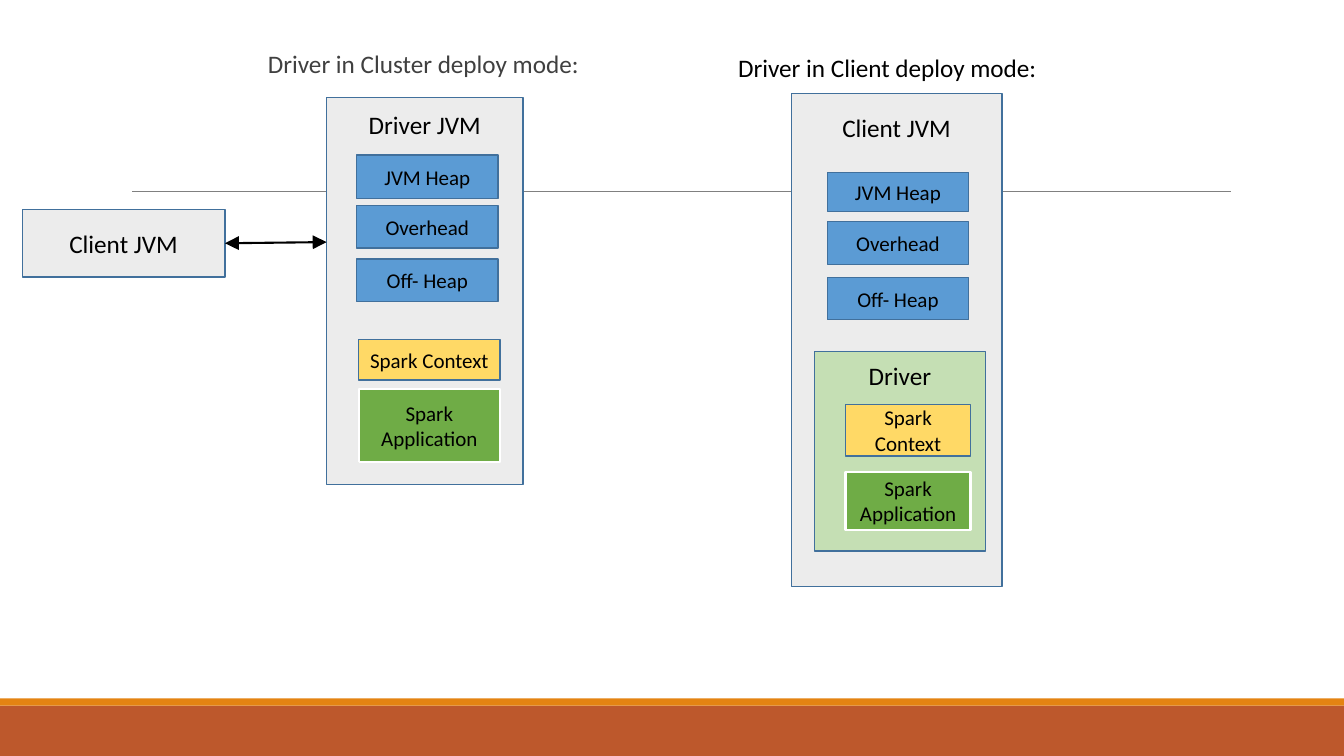
"""Build a slide comparing the driver in cluster and client deploy modes."""
from dataclasses import dataclass

from lxml.etree import SubElement
from pptx import Presentation
from pptx.dml.color import RGBColor
from pptx.enum.shapes import MSO_CONNECTOR, MSO_SHAPE
from pptx.enum.text import MSO_ANCHOR, PP_ALIGN
from pptx.oxml.ns import qn
from pptx.util import Cm, Pt


@dataclass(frozen=True)
class Theme:
    """Colours and type sizes."""
    font: str = "Calibri"
    head: int = 18
    body: int = 15
    ink: str = "000000"
    soft: str = "404040"
    rule: str = "808080"
    edge: str = "41709C"
    white: str = "FFFFFF"
    panel: str = "ECECEC"
    blue: str = "5B9BD4"
    gold: str = "FFD966"
    green: str = "6FAC46"
    pale: str = "C5DFB4"
    rust: str = "BD582C"
    amber: str = "E48312"


T = Theme()
WIDE, HIGH = 33.87, 19.05
BANDS = [(17.78, 1.27, T.rust), (17.6, 0.18, T.amber)]
RULE = (3.33, 31.01, 4.83)
CAPTIONS = [
    ("Driver in Cluster deploy mode:", (6.75, 1.18, 7.92, 0.84), T.soft),
    ("Driver in Client deploy mode:", (18.6, 1.27, 7.62, 0.84), T.ink),
]
CLIENT = ("Client JVM", (0.56, 5.28, 5.11, 1.7))
PANELS = [
    ("Driver JVM", (8.23, 2.46, 4.95, 9.75), T.panel, 0.3),
    ("Client JVM", (19.94, 2.36, 5.31, 12.42), T.panel, 0.48),
    ("Driver", (20.52, 8.86, 4.32, 5.03), T.pale, 0.22),
]
MEMORY = ["JVM Heap", "Overhead", "Off- Heap"]
STACKS = [
    (8.99, [(3.91, 1.09), (5.18, 1.07), (6.53, 1.07)]),
    (20.85, [(4.34, 0.99), (5.59, 1.07), (6.99, 1.07)]),
]
PARTS = [("Spark Context", T.gold, T.edge, 0.96),
         ("Spark Application", T.green, T.white, 1.56)]
SPARK = [
    (9.04, 3.56, [(8.56, 1.02), (9.8, 1.85)]),
    (21.31, 3.15, [(10.19, 1.3), (11.89, 1.47)]),
]
CELL = 3.56
TIP = (8.23, 6.1)


def rgb(code):
    return RGBColor.from_string(code)


def write(shape, text, size, color, align=PP_ALIGN.CENTER, top=None, side=0.2):
    frame = shape.text_frame
    frame.text = text
    frame.word_wrap = True
    frame.margin_left = frame.margin_right = Cm(side)
    frame.margin_top, frame.margin_bottom = Cm(top or 0), 0
    frame.vertical_anchor = MSO_ANCHOR.MIDDLE if top is None else MSO_ANCHOR.TOP
    line = frame.paragraphs[0]
    line.alignment = align
    font = line.runs[0].font
    font.name, font.size = T.font, Pt(size)
    font.color.rgb = rgb(color)


def block(slide, rect, fill, edge=None, width=0.96):
    shape = slide.shapes.add_shape(MSO_SHAPE.RECTANGLE, *map(Cm, rect))
    shape.shadow.inherit = False
    shape.fill.solid()
    shape.fill.fore_color.rgb = rgb(fill)
    if edge:
        shape.line.color.rgb = rgb(edge)
        shape.line.width = Pt(width)
    else:
        shape.line.fill.background()
    return shape


def link(slide, start, end, color, width):
    line = slide.shapes.add_connector(
        MSO_CONNECTOR.STRAIGHT, *map(Cm, (*start, *end)))
    line.line.color.rgb = rgb(color)
    line.line.width = Pt(width)
    SubElement(line._element.spPr, qn("a:effectLst"))
    return line


def main():
    deck = Presentation()
    deck.slide_width, deck.slide_height = Cm(WIDE), Cm(HIGH)
    slide = deck.slides.add_slide(deck.slide_layouts[6])

    for top, high, fill in BANDS:
        block(slide, (0, top, WIDE, high), fill)
    left, right, level = RULE
    link(slide, (left, level), (right, level), T.rule, 0.5)

    for text, rect, color in CAPTIONS:
        box = slide.shapes.add_textbox(*map(Cm, rect))
        write(box, text, T.head, color, PP_ALIGN.LEFT, side=0)

    for text, rect, fill, top in PANELS:
        write(block(slide, rect, fill, T.edge), text, T.head, T.ink, top=top)

    for left, rows in STACKS:
        for text, (top, high) in zip(MEMORY, rows):
            box = block(slide, (left, top, CELL, high), T.blue, T.edge)
            write(box, text, T.body, T.ink)

    for left, wide, rows in SPARK:
        for (text, fill, edge, width), (top, high) in zip(PARTS, rows):
            box = block(slide, (left, top, wide, high), fill, edge, width)
            write(box, text, T.body, T.ink)

    text, rect = CLIENT
    client = block(slide, rect, T.panel, T.edge)
    write(client, text, T.head, T.ink)
    x, y, wide, high = rect
    arrow = link(slide, (x + wide, y + high / 2), TIP, T.ink, 1.5)
    arrow.begin_connect(client, 3)
    stroke = arrow.line._get_or_add_ln()
    for end in ("a:headEnd", "a:tailEnd"):
        SubElement(stroke, qn(end), type="triangle", w="lg", len="lg")

    deck.save("out.pptx")


if __name__ == "__main__":
    main()
